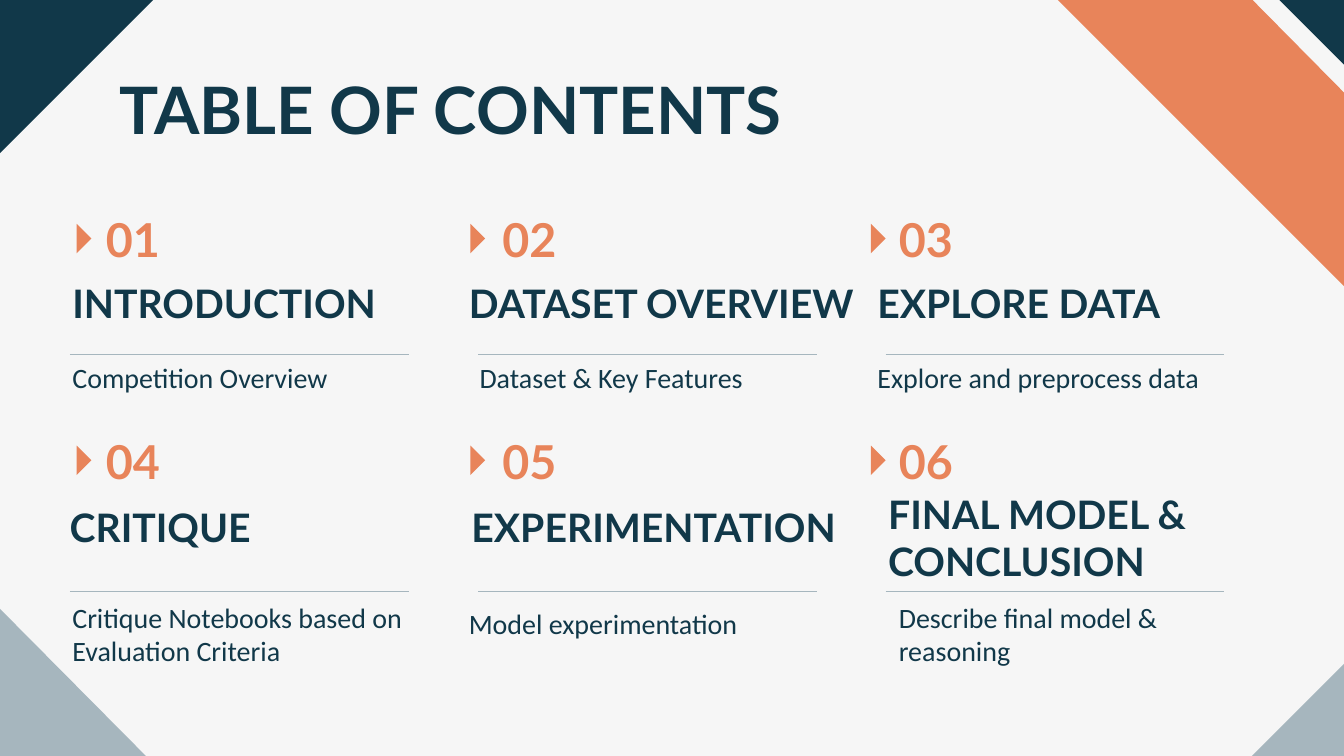
from dataclasses import dataclass

from lxml.etree import SubElement
from pptx import Presentation
from pptx.dml.color import RGBColor
from pptx.enum.shapes import MSO_CONNECTOR
from pptx.enum.text import MSO_ANCHOR
from pptx.oxml.ns import qn
from pptx.slide import Slide
from pptx.util import Inches, Pt

Point = tuple[float, float]


@dataclass(frozen=True)
class TextStyle:
    font: str
    size: float
    color: str
    bold: bool = True


@dataclass(frozen=True)
class Theme:
    background: str = "F6F6F6"
    navy: str = "113849"
    orange: str = "E8845A"
    grey: str = "A6B6BE"
    title: TextStyle = TextStyle("Lato", 35, navy)
    number: TextStyle = TextStyle("Lato", 25, orange)
    heading: TextStyle = TextStyle("Lato", 21, navy)
    description: TextStyle = TextStyle("Calibri", 15, navy, bold=False)
    rule_width: float = 0.75


@dataclass(frozen=True)
class Box:
    left: float
    top: float
    width: float
    height: float


@dataclass(frozen=True)
class Column:
    number_left: float
    marker_left: float
    rule_left: float


@dataclass(frozen=True)
class Row:
    number_top: float
    rule_top: float


@dataclass(frozen=True)
class Section:
    heading: str
    heading_box: Box
    description: str
    description_box: Box


THEME = Theme()
SLIDE_WIDTH = 10
SLIDE_HEIGHT = SLIDE_WIDTH * 9 / 16
RULE_LENGTH = 2.52
MARKER_SIZE = 0.11
NUMBER_WIDTH, NUMBER_HEIGHT = 0.96, 0.41

COLUMNS = [
    Column(0.69, 0.57, 0.52),
    Column(3.64, 3.5, 3.56),
    Column(6.59, 6.48, 6.59),
]
ROWS = [Row(1.57, 2.64), Row(3.22, 4.4)]

SECTIONS = [
    Section("INTRODUCTION", Box(0.44, 1.96, 2.84, 0.58),
            "Competition Overview", Box(0.44, 2.54, 2.84, 0.53)),
    Section("DATASET OVERVIEW", Box(3.39, 1.96, 4.31, 0.58),
            "Dataset & Key Features", Box(3.47, 2.54, 2.84, 0.53)),
    Section("EXPLORE DATA", Box(6.43, 1.96, 2.84, 0.58),
            "Explore and preprocess data", Box(6.43, 2.54, 2.84, 0.53)),
    Section("CRITIQUE", Box(0.42, 3.63, 3.03, 0.58),
            "Critique Notebooks based on Evaluation Criteria",
            Box(0.44, 4.45, 2.84, 0.53)),
    Section("EXPERIMENTATION", Box(3.41, 3.63, 3.1, 0.58),
            "Model experimentation", Box(3.39, 4.37, 2.84, 0.53)),
    Section("FINAL MODEL & CONCLUSION", Box(6.51, 3.71, 2.84, 0.58),
            "Describe final model & reasoning", Box(6.59, 4.45, 2.84, 0.53)),
]

CORNERS: list[tuple[str, list[Point]]] = [
    (THEME.orange, [(7.8, -0.07), (10.06, 2.19), (10.85, 1.41),
                    (10.85, -0.03), (10.06, 0.75), (9.25, -0.07)]),
    (THEME.navy, [(9.26, -0.26), (10.05, 0.53), (10.85, -0.26)]),
    (THEME.grey, [(-1.19, 5.7), (-0.01, 4.52), (1.16, 5.7)]),
    (THEME.navy, [(1.16, -0.02), (-0.69, 1.83), (-1.34, 1.19),
                  (-1.34, 0.01), (-0.69, 0.65), (-0.02, -0.02)]),
    (THEME.grey, [(9.16, 5.78), (11.97, 2.97), (12.94, 3.94),
                  (12.94, 5.73), (11.97, 4.76), (10.95, 5.78)]),
]


def add_polygon(slide: Slide, points: list[Point], color: str) -> None:
    start, *others = [(Inches(x), Inches(y)) for x, y in points]
    builder = slide.shapes.build_freeform(*start)
    builder.add_line_segments(others, close=True)
    shape = builder.convert_to_shape()
    shape.shadow.inherit = False
    shape.fill.solid()
    shape.fill.fore_color.rgb = RGBColor.from_string(color)
    shape.line.fill.background()


def add_text(slide: Slide, text: str, box: Box, style: TextStyle) -> None:
    shape = slide.shapes.add_textbox(
        Inches(box.left), Inches(box.top), Inches(box.width), Inches(box.height))
    frame = shape.text_frame
    frame.word_wrap = True
    frame.vertical_anchor = MSO_ANCHOR.MIDDLE
    frame.margin_left = frame.margin_right = Inches(0.1)
    frame.margin_top = frame.margin_bottom = Inches(0.1)
    run = frame.paragraphs[0].add_run()
    run.text = text
    run.font.name = style.font
    run.font.size = Pt(style.size)
    run.font.bold = style.bold
    run.font.color.rgb = RGBColor.from_string(style.color)


def add_rule(slide: Slide, left: float, top: float) -> None:
    rule = slide.shapes.add_connector(
        MSO_CONNECTOR.STRAIGHT, Inches(left), Inches(top),
        Inches(left + RULE_LENGTH), Inches(top))
    rule.line.color.rgb = RGBColor.from_string(THEME.grey)
    rule.line.width = Pt(THEME.rule_width)
    SubElement(rule.element.spPr, qn("a:effectLst"))


def add_marker(slide: Slide, left: float, middle: float) -> None:
    """Draw a small triangle that points right."""
    points = [(left, middle + MARKER_SIZE), (left + MARKER_SIZE, middle),
              (left, middle - MARKER_SIZE)]
    add_polygon(slide, points, THEME.orange)


def add_section(slide: Slide, index: int, section: Section) -> None:
    row_index, column_index = divmod(index, len(COLUMNS))
    row, column = ROWS[row_index], COLUMNS[column_index]
    number_box = Box(column.number_left, row.number_top, NUMBER_WIDTH, NUMBER_HEIGHT)
    add_marker(slide, column.marker_left, row.number_top + NUMBER_HEIGHT / 2)
    add_text(slide, f"{index + 1:02}", number_box, THEME.number)
    add_text(slide, section.heading, section.heading_box, THEME.heading)
    add_rule(slide, column.rule_left, row.rule_top)
    add_text(slide, section.description, section.description_box, THEME.description)


def main() -> None:
    presentation = Presentation()
    presentation.slide_width = Inches(SLIDE_WIDTH)
    presentation.slide_height = Inches(SLIDE_HEIGHT)
    slide = presentation.slides.add_slide(presentation.slide_layouts[6])
    slide.background.fill.solid()
    slide.background.fill.fore_color.rgb = RGBColor.from_string(THEME.background)

    for color, points in CORNERS:
        add_polygon(slide, points, color)
    add_text(slide, "TABLE OF CONTENTS", Box(0.79, 0.49, 8.43, 0.63), THEME.title)
    for index, section in enumerate(SECTIONS):
        add_section(slide, index, section)

    presentation.save("out.pptx")


if __name__ == "__main__":
    main()
